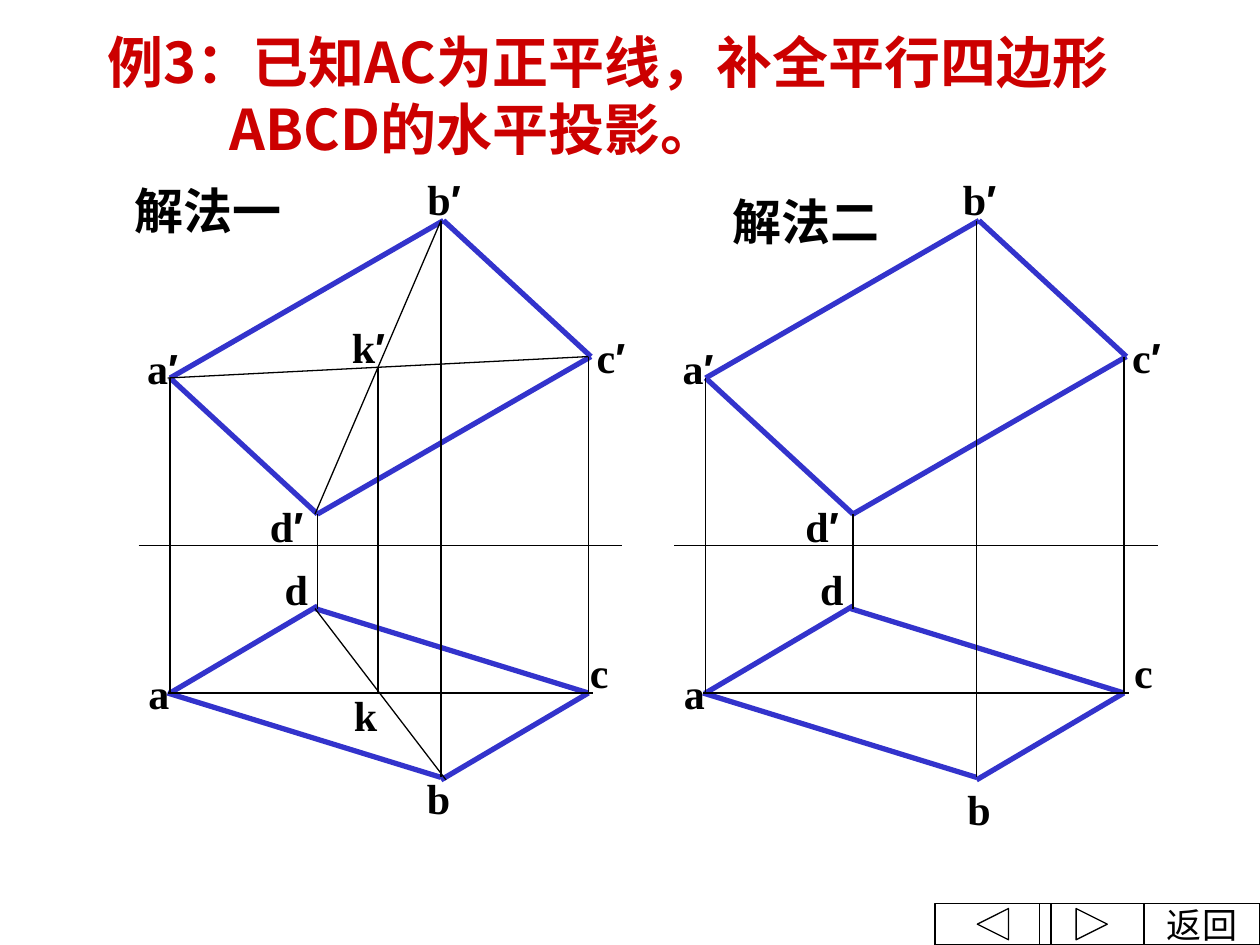
"""Build a slide on two ways to complete the plan view of a parallelogram."""
import pptx
import pptx.util
import pptx.dml.color
import pptx.enum.shapes
import pptx.enum.text
import pptx.oxml

Inch, Pt = pptx.util.Inches, pptx.util.Pt
Kind = pptx.enum.shapes.MSO_SHAPE
Align = pptx.enum.text.PP_ALIGN
Mid = pptx.enum.text.MSO_ANCHOR.MIDDLE

HUES = {"edge": "3333CC", "ink": "000000", "title": "CC0000"}
SERIF, SANS, PRIME = "Times New Roman", "Noto Sans CJK JP", "Arial"
STEP = 4.25

TITLE = ["例3：已知AC为正平线，补全平行四边形", "ABCD的水平投影。"]
HEADS = [("解法一", 0.9, 1.38), ("解法二", 5.65, 1.47)]

EDGES = [
    (1.35, 3, 2.52, 4.08), (1.35, 3, 3.52, 1.75),
    (2.52, 4.08, 4.69, 2.83), (3.52, 1.75, 4.69, 2.83),
    (1.35, 5.5, 2.52, 4.81), (2.5, 4.83, 4.67, 5.5),
    (1.33, 5.5, 3.5, 6.17), (3.5, 6.19, 4.67, 5.5),
]
RAYS = [
    (1.1, 4.33, 4.94, 4.33), (1.35, 3, 1.35, 5.5),
    (2.52, 4.08, 2.52, 4.83), (3.5, 1.75, 3.5, 6.17),
    (4.67, 2.83, 4.67, 5.5), (1.33, 5.5, 4.71, 5.5),
]
CROSS = [
    (1.33, 3, 4.67, 2.83), (3.5, 1.75, 2.5, 4.08),
    (2.5, 4.83, 3.54, 6.19), (3, 2.92, 3, 5.5),
]
MARKS = [
    ("a′", 1.05, 2.67, 0.48), ("b′", 3.28, 1.33, 0.49),
    ("c′", 4.62, 2.58, 0.46), ("d′", 2.03, 3.92, 0.49),
    ("a", 1.08, 5.25, 0.36), ("d", 2.16, 4.42, 0.38),
]
OWN = [
    [("b", 3.29, 6.08, 0.38), ("c", 4.58, 5.08, 0.35),
     ("k′", 2.68, 2.5, 0.49), ("k", 2.71, 5.42, 0.38)],
    [("b", 3.33, 6.17, 0.38), ("c", 4.65, 5.08, 0.35)],
]
KEYS = [
    (Kind.ACTION_BUTTON_CUSTOM, 9.08, 0.92, "返回"),
    (Kind.ACTION_BUTTON_BACK_OR_PREVIOUS, 7.42, 0.92, ""),
    (Kind.ACTION_BUTTON_FORWARD_OR_NEXT, 8.25, 0.83, ""),
]


def hue(name):
    return pptx.dml.color.RGBColor.from_string(HUES[name])


def style(para, size, face, tint="ink", bold=True):
    font = para.font
    font.size, font.bold, font.name = Pt(size), bold, face
    font.color.rgb = hue(tint)


def draw(slide, ends, shift, tint, width):
    x, y, u, v = ends
    line = slide.shapes.add_connector(
        pptx.enum.shapes.MSO_CONNECTOR.STRAIGHT,
        Inch(x + shift), Inch(y), Inch(u + shift), Inch(v))
    line.line.color.rgb = hue(tint)
    line.line.width = Pt(width)
    props = line._element.spPr
    props.append(props.makeelement(pptx.oxml.ns.qn("a:effectLst"), {}))


def label(slide, text, x, y, wide, high=0.5, size=24):
    box = slide.shapes.add_textbox(Inch(x), Inch(y), Inch(wide), Inch(high))
    frame = box.text_frame
    frame.word_wrap, frame.vertical_anchor = False, Mid
    para = frame.paragraphs[0]
    para.alignment = Align.CENTER
    style(para, size, SERIF)
    para.add_run().text = text.rstrip("′")
    if text.endswith("′"):
        run = para.add_run()
        run.text, run.font.name = "′", PRIME


def head(slide):
    box = slide.shapes.title
    box.left, box.top, box.width, box.height = map(Inch, (0.75, 0.17, 8.8, 1.17))
    frame = box.text_frame
    frame.text = "\n".join(TITLE)
    frame.word_wrap, frame.vertical_anchor = True, Mid
    frame.auto_size = pptx.enum.text.MSO_AUTO_SIZE.NONE
    for para in frame.paragraphs:
        para.alignment = Align.LEFT
        para.line_spacing, para.space_before = Pt(38), Pt(0)
        style(para, 32, SANS, "title")
    frame.paragraphs[1]._p.get_or_add_pPr().set("marL", str(Inch(0.97)))


def button(slide, kind, x, wide, text):
    key = slide.shapes.add_shape(kind, Inch(x), Inch(7.17), Inch(wide), Inch(0.33))
    key.shadow.inherit = False
    key.fill.background()
    key.line.color.rgb = hue("ink")
    key.line.width = Pt(0.75)
    if text:
        frame = key.text_frame
        frame.text = text
        frame.word_wrap, frame.vertical_anchor = False, Mid
        frame.paragraphs[0].alignment = Align.CENTER
        style(frame.paragraphs[0], 20, SERIF, bold=False)


def main():
    deck = pptx.Presentation()
    deck.slide_width, deck.slide_height = Inch(10), Inch(7.5)
    slide = deck.slides.add_slide(deck.slide_layouts[5])
    head(slide)
    for col, (name, x, y) in enumerate(HEADS):
        shift = col * STEP
        for ends in EDGES:
            draw(slide, ends, shift, "edge", 3)
        for ends in RAYS + (CROSS if col == 0 else []):
            draw(slide, ends, shift, "ink", 0.75)
        for text, left, top, wide in MARKS + OWN[col]:
            label(slide, text, left + shift, top, wide)
        label(slide, name, x, y, 1.5, 0.57, 28)
    for key in KEYS:
        button(slide, *key)
    deck.save("out.pptx")


if __name__ == "__main__":
    main()
